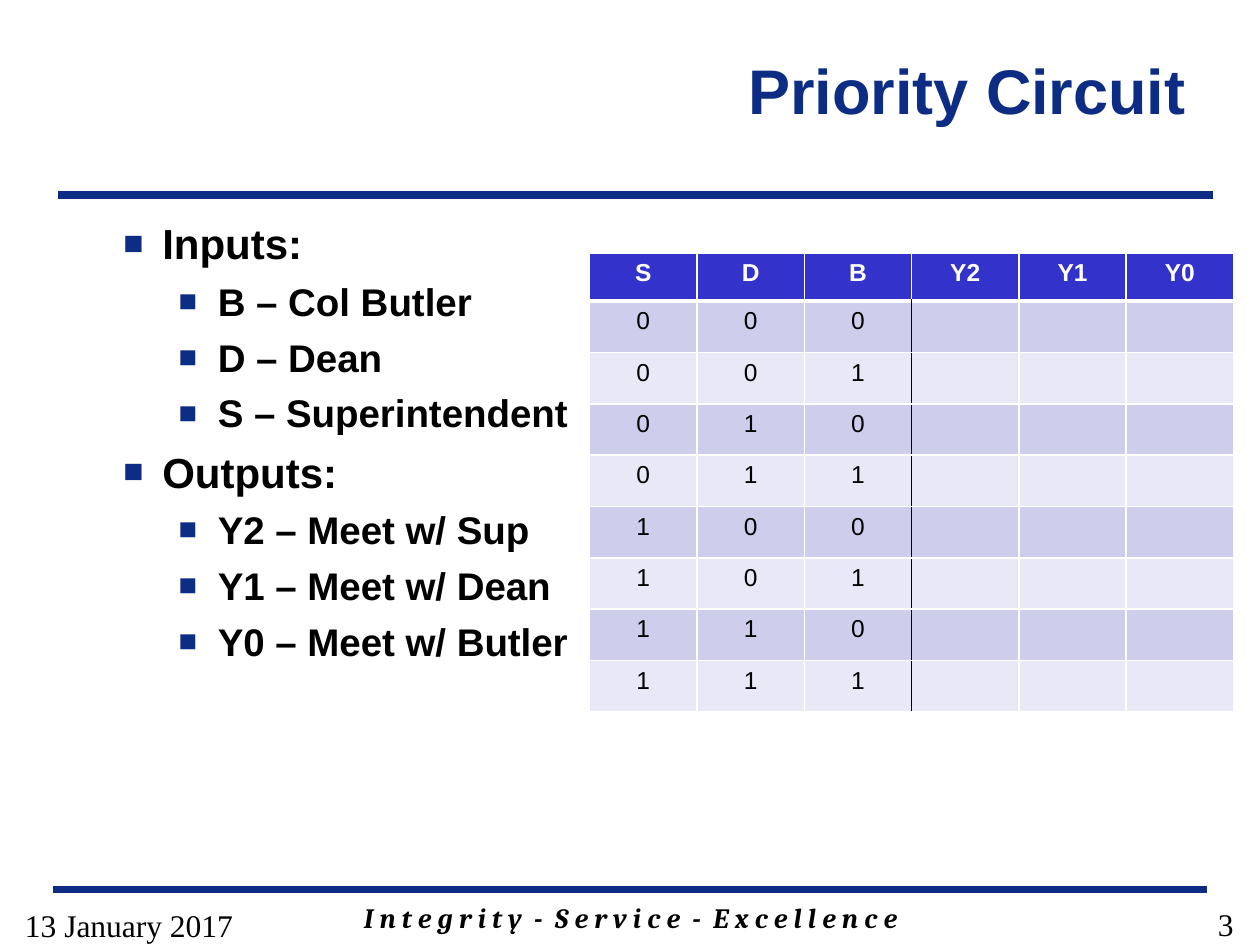
from lxml.etree import SubElement
from pptx import Presentation
from pptx.dml.color import RGBColor
from pptx.enum.shapes import MSO_CONNECTOR
from pptx.enum.text import MSO_ANCHOR, PP_ALIGN
from pptx.oxml.ns import qn
from pptx.util import Inches, Pt

COLORS = {
    "navy": "0C2D83", "black": "000000", "white": "FFFFFF",
    "header": "3333CC", "odd_row": "CECEEC", "even_row": "E8E8F6",
}
BULLETS = [
    (0, "Inputs:"),
    (1, "B – Col Butler"),
    (1, "D – Dean"),
    (1, "S – Superintendent"),
    (0, "Outputs:"),
    (1, "Y2 – Meet w/ Sup"),
    (1, "Y1 – Meet w/ Dean"),
    (1, "Y0 – Meet w/ Butler"),
]
HEADINGS = ["S", "D", "B", "Y2", "Y1", "Y0"]
INPUT_COUNT = 3


class SlideBuilder:
    """Draws on one slide with a grid of 100 columns by 75 rows."""

    def __init__(self, presentation):
        self.slide = presentation.slides.add_slide(presentation.slide_layouts[6])
        self.column = presentation.slide_width / 100
        self.row = presentation.slide_height / 75

    def place(self, *lengths):
        """Turn alternating column and row counts into slide lengths."""
        units = (self.column, self.row) * 2
        return [round(length * unit) for length, unit in zip(lengths, units)]

    def add_run(self, paragraph, text, size, color="black", font="Arial",
                bold=False, italic=False):
        run = paragraph.add_run()
        run.text = text
        run.font.name = font
        run.font.size = Pt(size)
        run.font.bold = bold
        run.font.italic = italic
        run.font.color.rgb = RGBColor.from_string(COLORS[color])

    def text_frame(self, area, anchor=MSO_ANCHOR.TOP):
        frame = self.slide.shapes.add_textbox(*self.place(*area)).text_frame
        frame.word_wrap = True
        frame.vertical_anchor = anchor
        return frame

    def label(self, area, text, size, align, anchor=MSO_ANCHOR.TOP, **style):
        paragraph = self.text_frame(area, anchor).paragraphs[0]
        paragraph.alignment = align
        self.add_run(paragraph, text, size, **style)

    def rule(self, left, right, height):
        line = self.slide.shapes.add_connector(
            MSO_CONNECTOR.STRAIGHT, *self.place(left, height, right, height))
        line.line.color.rgb = RGBColor.from_string(COLORS["navy"])
        line.line.width = Pt(4.5)
        SubElement(line._element.spPr, qn("a:effectLst"))

    def bullet_list(self, area, items):
        frame = self.text_frame(area)
        for index, (level, text) in enumerate(items):
            paragraph = frame.add_paragraph() if index else frame.paragraphs[0]
            paragraph.level = level
            properties = paragraph._p.get_or_add_pPr()
            properties.set("marL", str(Inches((0.31, 0.75)[level])))
            properties.set("indent", str(Inches(-0.31)))
            if index:
                paragraph.space_before = Pt((6, 5.5)[level])
            bullet_color = SubElement(properties, qn("a:buClr"))
            SubElement(bullet_color, qn("a:srgbClr"), val=COLORS["navy"])
            SubElement(properties, qn("a:buSzPct"), val="80000")
            SubElement(properties, qn("a:buFont"), typeface="Arial")
            SubElement(properties, qn("a:buChar"), char="■")
            self.add_run(paragraph, text, (24, 22)[level], bold=True)

    def border(self, cell, side, color="white", width=1):
        line = SubElement(cell._tc.get_or_add_tcPr(), qn(f"a:ln{side}"),
                          w=str(Pt(width)))
        fill = SubElement(line, qn("a:solidFill"))
        SubElement(fill, qn("a:srgbClr"), val=COLORS[color])

    def cell(self, cell, text, fill, borders, **style):
        """Fill one table cell; borders maps a side to its (color, width)."""
        for side in "LRTB":
            self.border(cell, side, *borders.get(side, ()))
        cell.fill.solid()
        cell.fill.fore_color.rgb = RGBColor.from_string(COLORS[fill])
        if text:
            paragraph = cell.text_frame.paragraphs[0]
            paragraph.alignment = PP_ALIGN.CENTER
            self.add_run(paragraph, text, 14, **style)

    def truth_table(self, area, headings, input_count, header_rows):
        """List every input combination and leave the outputs blank."""
        case_count = 2 ** input_count
        table = self.slide.shapes.add_table(
            case_count + 1, len(headings), *self.place(*area)).table
        table.rows[0].height = round(header_rows * self.row)
        case_height = round((area[3] - header_rows) / case_count * self.row)
        for column, heading in enumerate(headings):
            table.columns[column].width = round(
                area[2] / len(headings) * self.column)
            self.cell(table.cell(0, column), heading, "header",
                      {"B": ("white", 3)}, color="white", bold=True)
        divider = {input_count - 1: {"R": ("black", 1)},
                   input_count: {"L": ("black", 1)}}
        for case in range(case_count):
            table.rows[case + 1].height = case_height
            bits = f"{case:0{input_count}b}".ljust(len(headings))
            for column, bit in enumerate(bits):
                borders = dict(divider.get(column, {}))
                if case == 0:
                    borders["T"] = ("white", 3)
                self.cell(table.cell(case + 1, column), bit.strip(),
                          ("odd_row", "even_row")[case % 2], borders)


def main():
    presentation = Presentation()
    presentation.slide_width = Inches(10)
    presentation.slide_height = Inches(7.5)
    builder = SlideBuilder(presentation)

    builder.rule(4.2, 95.8, 70.6)
    builder.rule(4.6, 96.3, 15.5)
    builder.label((14.2, 71, 71.7, 3.7),
                  "I n t e g r i t y  -  S e r v i c e  -  E x c e l l e n c e",
                  16, PP_ALIGN.CENTER, font="Cambria", bold=True, italic=True)
    builder.label((20.9, 0.8, 74.2, 12.5), "Priority Circuit", 36,
                  PP_ALIGN.RIGHT, MSO_ANCHOR.MIDDLE, color="navy", bold=True)
    builder.bullet_list((8.8, 16.8, 88.9, 47.3), BULLETS)
    builder.label((75.6, 71.3, 23.3, 3.7), "3", 18, PP_ALIGN.RIGHT,
                  font="Times New Roman")
    builder.label((1, 71.4, 23.3, 3.6), "13 January 2017", 18, PP_ALIGN.LEFT,
                  font="Times New Roman")
    builder.truth_table((46.8, 20.1, 51.1, 36.4), HEADINGS, INPUT_COUNT, 3.8)
    presentation.save("out.pptx")


if __name__ == "__main__":
    main()
